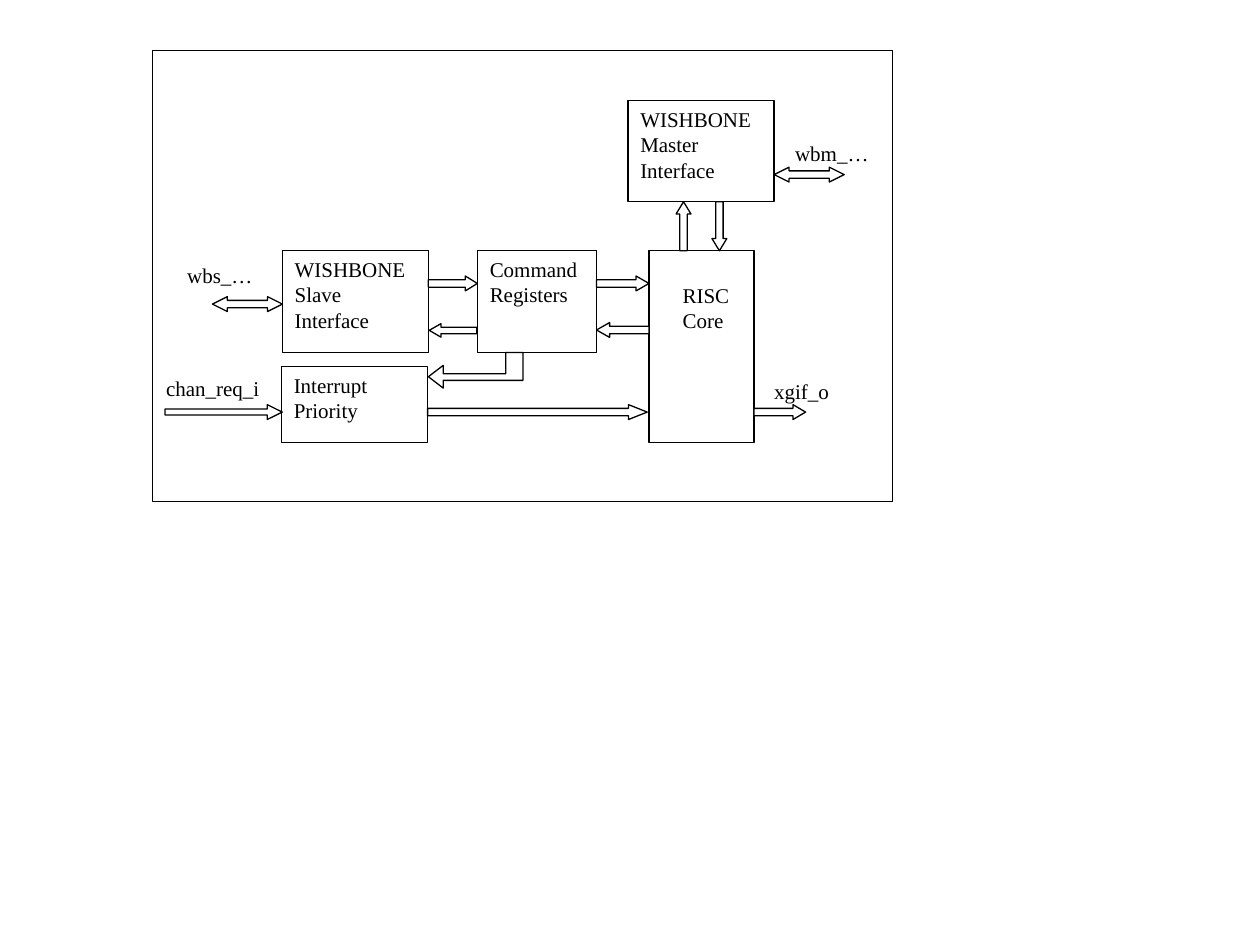
from pptx import Presentation
from pptx.dml.color import RGBColor
from pptx.enum.shapes import MSO_SHAPE
from pptx.enum.text import MSO_ANCHOR, PP_ALIGN
from pptx.util import Pt

BLACK, WHITE = "000000", "FFFFFF"
FONT = {"name": "Times New Roman", "size": Pt(12)}
FRAME = {"margin_left": Pt(7.2), "margin_right": Pt(7.2), "margin_top": Pt(3.6),
         "margin_bottom": Pt(3.6), "word_wrap": True, "vertical_anchor": MSO_ANCHOR.TOP}
ARROW_THICKNESS = 8.5

DIAGRAM_BORDER = (87, 28.8, 423.2, 257.8)

# text, (left, top, width, height)
BLOCKS = [
    ("WISHBONE Slave Interface", (161.3, 143.2, 83.5, 58.2)),
    ("Command Registers", (272.8, 143.2, 68.2, 58.2)),
    ("", (370.9, 143.2, 60, 109.6)),
    ("Interrupt Priority", (160.8, 209.3, 83.5, 43.5)),
    ("WISHBONE Master Interface", (358.8, 57.4, 83.5, 57.8)),
]
LABELS = [
    ("RISC Core", (383, 157.7, 49.7, 42.5)),
    ("xgif_o", (435.3, 213, 53.3, 21.6)),
    ("chan_req_i", (87.8, 211.3, 73.4, 21.6)),
    ("wbm_…", (447.3, 77, 57.6, 21.6)),
    ("wbs_…", (99.9, 146.5, 56.9, 21.6)),
]

RIGHT, LEFT, BOTH = MSO_SHAPE.RIGHT_ARROW, MSO_SHAPE.LEFT_ARROW, MSO_SHAPE.LEFT_RIGHT_ARROW
# preset, centre x, centre y, length, rotation, shaft ratio, head ratio
ARROWS = [
    (RIGHT, 355.9, 162, 30, 0, 0.5, 0.87),
    (RIGHT, 258.8, 162, 28, 0, 0.5, 0.81),
    (LEFT, 355.9, 188.6, 30, 0, 0.5, 0.88),
    (RIGHT, 307.1, 235.5, 125.5, 0, 0.5, 1.26),
    (RIGHT, 445.6, 235.5, 29.5, 0, 0.5, 0.85),
    (RIGHT, 127.8, 235.5, 67, 0, 0.4, 1.01),
    (LEFT, 390.6, 129.3, 28, 90, 0.5, 0.82),
    (LEFT, 411.1, 129.3, 28, 270, 0.5, 0.82),
    (BOTH, 141.4, 173.8, 40, 0, 0.5, 1),
    (BOTH, 462.4, 99.8, 40, 0, 0.5, 1),
]
ARROW_OUTLINES = [
    [(289, 201.4), (289, 213.6), (253.3, 213.6), (253.3, 208.8), (244.8, 215.3),
     (253.3, 221.8), (253.3, 217.4), (298.8, 217.4), (298.8, 201.4)],
    [(272.5, 190.7), (252, 190.7), (252, 192.7), (245.3, 188.8),
     (252, 185), (252, 187), (272.5, 187)],
]


def color(value):
    return RGBColor.from_string(value)


def set_values(target, values):
    for name, value in values.items():
        setattr(target, name, value)


def style(shape, fill=None):
    shape.shadow.inherit = False
    if fill:
        shape.fill.solid()
        shape.fill.fore_color.rgb = color(fill)
    else:
        shape.fill.background()
    shape.line.color.rgb = color(BLACK)
    shape.line.width = Pt(0.75)


def write(shape, text):
    set_values(shape.text_frame, FRAME)
    paragraph = shape.text_frame.paragraphs[0]
    paragraph.alignment = PP_ALIGN.LEFT
    run = paragraph.add_run()
    run.text = text
    set_values(run.font, FONT)
    run.font.color.rgb = color(BLACK)


def add_box(slide, box, fill=None):
    shape = slide.shapes.add_shape(MSO_SHAPE.RECTANGLE, *map(Pt, box))
    style(shape, fill)
    return shape


def add_arrow(slide, preset, center_x, center_y, length, rotation, *ratios):
    left, top = center_x - length / 2, center_y - ARROW_THICKNESS / 2
    arrow = slide.shapes.add_shape(preset, Pt(left), Pt(top), Pt(length), Pt(ARROW_THICKNESS))
    arrow.rotation = rotation
    for index, ratio in enumerate(ratios):
        arrow.adjustments[index] = ratio
    style(arrow, None if preset == BOTH else WHITE)


def add_outline(slide, points):
    start, *rest = [(Pt(x), Pt(y)) for x, y in points]
    builder = slide.shapes.build_freeform(*start)
    builder.add_line_segments(rest, close=True)
    style(builder.convert_to_shape())


def main():
    presentation = Presentation()
    presentation.slide_width, presentation.slide_height = Pt(720), Pt(540)
    slide = presentation.slides.add_slide(presentation.slide_layouts[6])

    add_box(slide, DIAGRAM_BORDER)
    for text, box in BLOCKS:
        block = add_box(slide, box, WHITE)
        if text:
            write(block, text)
    for arrow in ARROWS:
        add_arrow(slide, *arrow)
    for points in ARROW_OUTLINES:
        add_outline(slide, points)
    for text, box in LABELS:
        write(slide.shapes.add_textbox(*map(Pt, box)), text)

    presentation.save("out.pptx")


if __name__ == "__main__":
    main()
